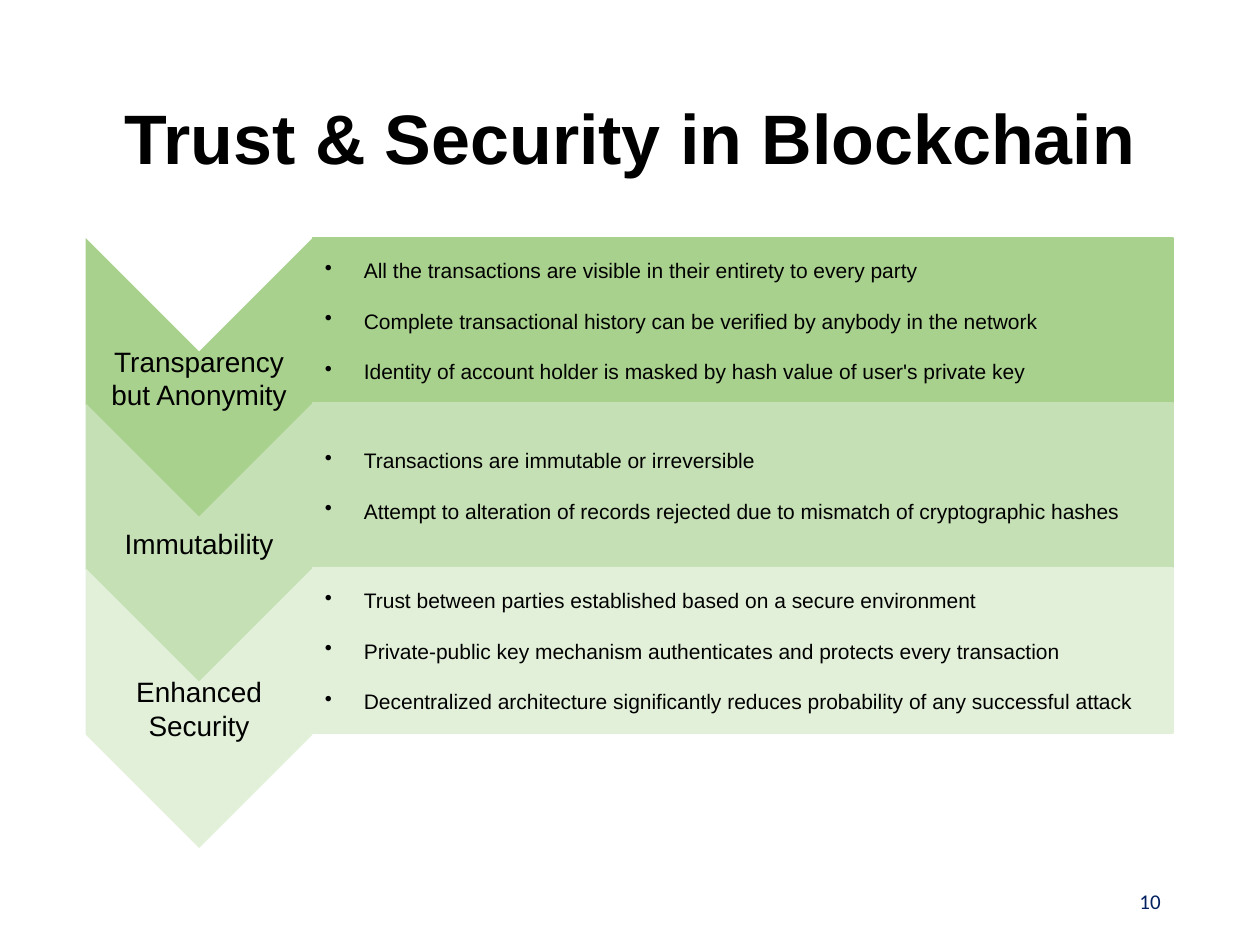
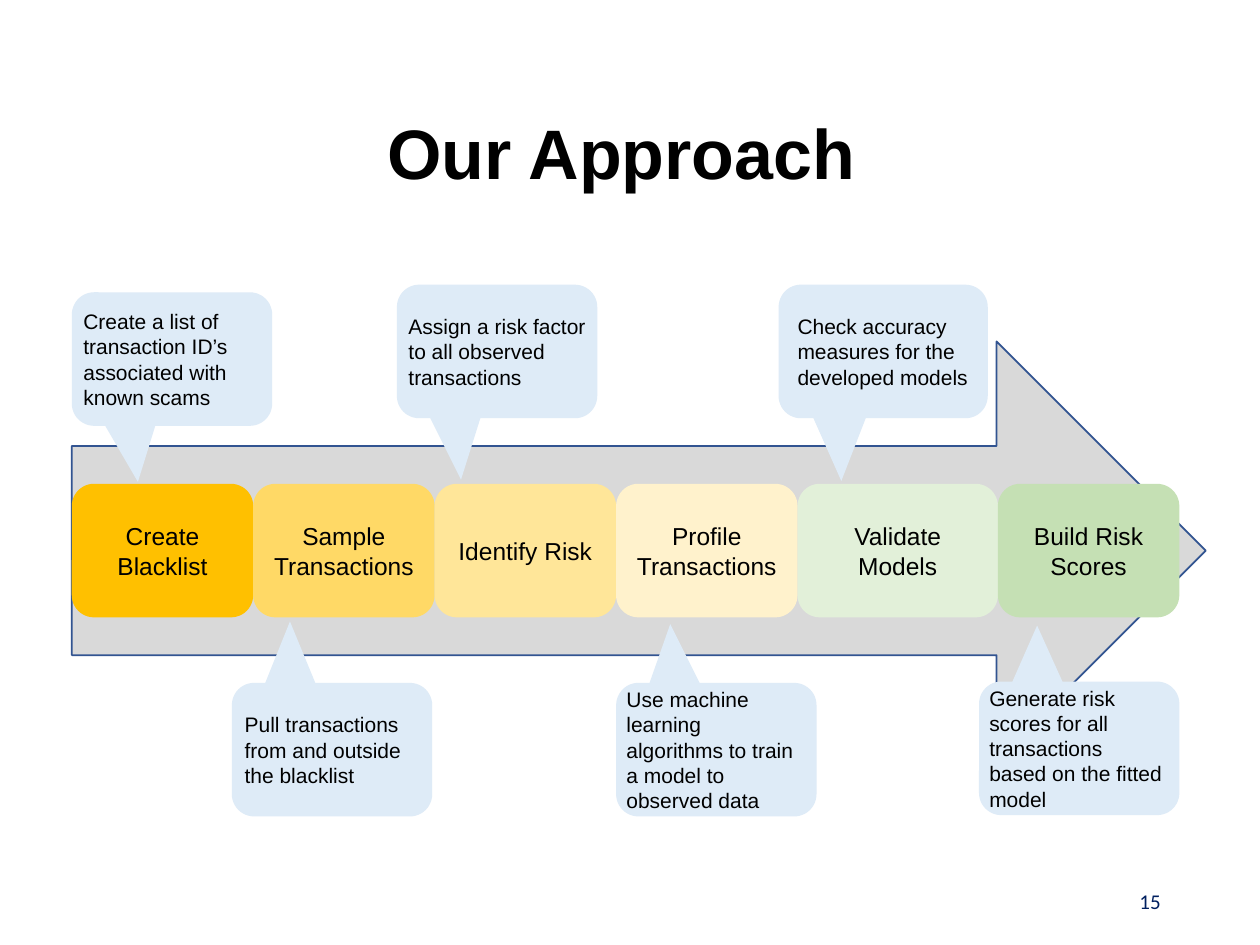
import pptx
import pptx.dml.color
import pptx.enum.shapes
import pptx.enum.text
import pptx.oxml.ns
import pptx.util
from lxml import etree

Inches = pptx.util.Inches
Pt = pptx.util.Pt
SHAPE = pptx.enum.shapes.MSO_SHAPE
ALIGN = pptx.enum.text.PP_ALIGN
ANCHOR = pptx.enum.text.MSO_ANCHOR

COLORS = {
    "ink": "000000", "number": "002060",
    "green_dark": "A9D18E", "green_mid": "C5E0B4", "green_light": "E2F0D9",
    "amber": "FFC000", "gold": "FFD966", "yellow": "FFE699", "cream": "FFF2CC",
    "arrow": "D9D9D9", "arrow_line": "325491", "callout": "DEEBF7",
}

PILLARS = [
    ("Transparency but Anonymity", "green_dark", [
        "All the transactions are visible in their entirety to every party",
        "Complete transactional history can be verified by anybody in the network",
        "Identity of account holder is masked by hash value of user's private key"]),
    ("Immutability", "green_mid", [
        "Transactions are immutable or irreversible",
        "Attempt to alteration of records rejected due to mismatch of cryptographic hashes"]),
    ("Enhanced Security", "green_light", [
        "Trust between parties established based on a secure environment",
        "Private-public key mechanism authenticates and protects every transaction",
        "Decentralized architecture significantly reduces probability of any successful attack"]),
]

# label, colour, width
STEPS = [
    ("Create Blacklist", "amber", 1.44),
    ("Sample Transactions", "gold", 1.44),
    ("Identify Risk", "yellow", 1.44),
    ("Profile Transactions", "cream", 1.44),
    ("Validate Models", "green_light", 1.59),
    ("Build Risk Scores", "green_mid", 1.44),
]

# text, left, top, width, pointer x and y, left and right inset
CALLOUTS = [
    ("Create a list of transaction ID’s associated with known scams",
     0.57, 2.32, 1.59, -0.17, 0.92, 0.04, 0),
    ("Pull transactions from and outside the blacklist",
     1.84, 5.42, 1.59, -0.21, -0.96, 0.05, 0),
    ("Assign a risk factor to all observed transactions",
     3.15, 2.26, 1.59, -0.18, 0.96, 0.04, 0),
    ("Use machine learning algorithms to train a model to observed data",
     4.89, 5.42, 1.59, -0.23, -0.94, 0.03, 0.08),
    ("Check accuracy measures for the developed models",
     6.18, 2.26, 1.66, -0.2, 0.97, 0.1, 0),
    ("Generate risk scores for all transactions based on the fitted model",
     7.77, 5.41, 1.59, -0.21, -0.92, 0.03, 0.08),
]


def rgb(name):
    return pptx.dml.color.RGBColor.from_string(COLORS[name])


def add_run(p, text, size, color="ink", font="Arial", bold=False):
    r = p.add_run()
    r.text = text
    r.font.size = Pt(size)
    r.font.name = font
    r.font.bold = bold
    r.font.color.rgb = rgb(color)


def set_frame(tf, margins=(0.1, 0.05, 0.1, 0.05)):
    """Wrap and centre the text vertically; margins run left, top, right, bottom."""
    tf.word_wrap = True
    tf.vertical_anchor = ANCHOR.MIDDLE
    tf.margin_left, tf.margin_top, tf.margin_right, tf.margin_bottom = map(Inches, margins)


def add_text_box(s, box, align):
    """Add an empty text box and return its first paragraph."""
    tf = s.shapes.add_textbox(*map(Inches, box)).text_frame
    set_frame(tf)
    p = tf.paragraphs[0]
    p.alignment = align
    return p


def add_filled(s, kind, box, fill, line=None):
    sp = s.shapes.add_shape(kind, *map(Inches, box))
    sp.shadow.inherit = False
    sp.fill.solid()
    sp.fill.fore_color.rgb = rgb(fill)
    if line:
        sp.line.color.rgb = rgb(line)
        sp.line.width = Pt(1)
    else:
        sp.line.fill.background()
    return sp


def add_label(sp, text, size, align=ALIGN.CENTER):
    p = sp.text_frame.paragraphs[0]
    p.alignment = align
    add_run(p, text, size)


def add_base(prs, title, title_box, number):
    """Add a slide with the shared title style and slide number."""
    s = prs.slides.add_slide(prs.slide_layouts[6])
    p = add_text_box(s, title_box, ALIGN.CENTER)
    p.line_spacing = 0.9
    add_run(p, title, 40, bold=True)
    p = add_text_box(s, (7.06, 6.95, 2.25, 0.4), ALIGN.RIGHT)
    add_run(p, number, 12, "number", "Calibri")
    return s


def add_bullets(tf, items):
    for i, item in enumerate(items):
        p = tf.paragraphs[0] if i == 0 else tf.add_paragraph()
        pPr = p._p.get_or_add_pPr()
        pPr.set("marL", str(Inches(0.31)))
        pPr.set("indent", str(-Inches(0.31)))
        etree.SubElement(pPr, pptx.oxml.ns.qn("a:buChar")).set("char", "•")
        p.alignment = ALIGN.LEFT
        if i:
            p.space_before = Pt(14.4)
        add_run(p, item, 12)


def add_chevron(s, x, y, width, height, label, color):
    """Add a chevron pointing down, with upright text, that fills the box."""
    left = x + (width - height) / 2
    top = y + (height - width) / 2
    sp = add_filled(s, SHAPE.CHEVRON, (left, top, height, width), color)
    sp.rotation = 90
    set_frame(sp.text_frame, (0.1,) * 4)
    sp.text_frame._txBody.bodyPr.set("vert", "vert270")
    add_label(sp, label, 16)


def add_pillars(s, x, y, width, pitch):
    chevron_width = 1.8
    for i, (label, color, items) in enumerate(PILLARS):
        top = y + i * pitch
        add_chevron(s, x, top, chevron_width, 2.22, label, color)
        panel = (x + chevron_width, top, width - chevron_width, pitch)
        sp = add_filled(s, SHAPE.RECTANGLE, panel, color, color)
        set_frame(sp.text_frame)
        add_bullets(sp.text_frame, items)


def add_callout(s, text, x, y, width, tip_x, tip_y, left, right):
    sp = add_filled(s, SHAPE.ROUNDED_RECTANGULAR_CALLOUT, (x, y, width, 1.06), "callout")
    sp.adjustments[0] = tip_x
    sp.adjustments[1] = tip_y
    set_frame(sp.text_frame, (left, 0, right, 0))
    add_label(sp, text, 12, ALIGN.LEFT)


def add_steps(s, x, y, height):
    for label, color, width in STEPS:
        sp = add_filled(s, SHAPE.ROUNDED_RECTANGLE, (x, y, width, height), color)
        set_frame(sp.text_frame)
        add_label(sp, label, 14)
        x += width


def build_trust(prs):
    s = add_base(prs, "Trust & Security in Blockchain", (0.69, 0.4, 8.62, 1.45), "10")
    add_pillars(s, 0.68, 1.89, 8.63, 1.31)


def build_approach(prs):
    s = add_base(prs, "Our Approach", (0.62, 0.52, 8.62, 1.45), "15")
    add_filled(s, SHAPE.RIGHT_ARROW, (0.57, 2.71, 9, 3.32), "arrow", "arrow_line")
    for callout in CALLOUTS:
        add_callout(s, *callout)
    add_steps(s, 0.57, 3.84, 1.06)


def main():
    prs = pptx.Presentation()
    prs.slide_width = Inches(10)
    prs.slide_height = Inches(7.5)
    build_trust(prs)
    build_approach(prs)
    prs.save("out.pptx")


if __name__ == "__main__":
    main()
